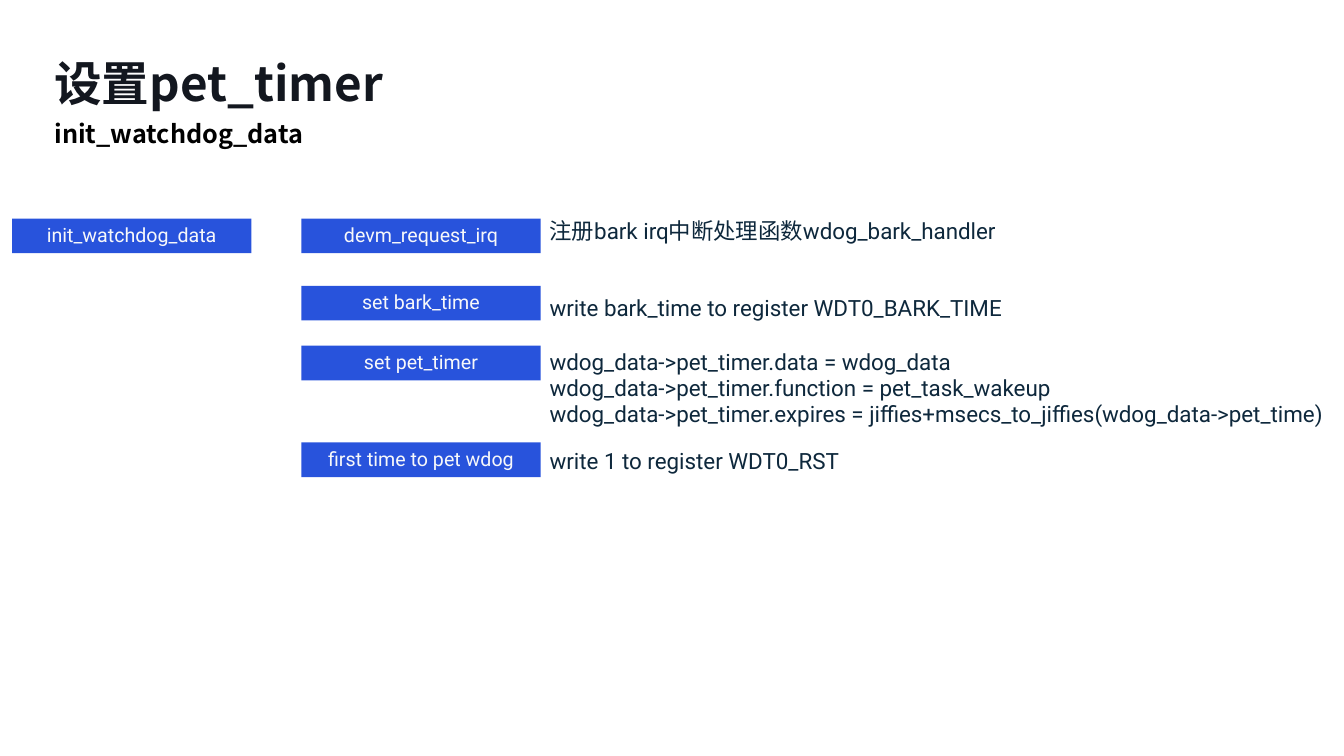
import pptx
import pptx.dml.color
import pptx.enum.shapes
import pptx.enum.text
import pptx.oxml.ns
import pptx.util
import lxml.etree

ANCHOR = pptx.enum.text.MSO_ANCHOR
ALIGN = pptx.enum.text.PP_ALIGN
CJK = "Noto Sans CJK JP"


def rgb(value):
    return pptx.dml.color.RGBColor.from_string(value)


class Deck:
    styles = {
        "title": {"size": 34, "bold": True, "name": CJK, "color": "13171F"},
        "subtitle": {"size": 18, "bold": True, "name": CJK, "color": "000000"},
        "step": {"size": 14, "name": "Roboto", "color": "F7F8FA"},
        "note": {"size": 16, "name": "Roboto", "color": "0E283C"},
    }
    fill = "2853DC"

    def __init__(self, width, height, columns=100, rows=100):
        self.prs = pptx.Presentation()
        self.prs.slide_width = pptx.util.Inches(width)
        self.prs.slide_height = pptx.util.Inches(height)
        self.col = self.prs.slide_width / columns
        self.row = self.prs.slide_height / rows
        self.s = self.prs.slides.add_slide(self.prs.slide_layouts[6])

    def area(self, x, y, w, h):
        return [round(v) for v in (x * self.col, y * self.row, w * self.col, h * self.row)]

    def add_lines(self, tf, lines, style, **paragraph):
        for i, line in enumerate(lines):
            p = tf.paragraphs[0] if i == 0 else tf.add_paragraph()
            for key, value in paragraph.items():
                setattr(p, key, value)
            r = p.add_run()
            r.text = line
            for key, value in self.styles[style].items():
                if key == "color":
                    r.font.color.rgb = rgb(value)
                else:
                    setattr(r.font, key, pptx.util.Pt(value) if key == "size" else value)
            ea = lxml.etree.SubElement(r.font._element, pptx.oxml.ns.qn("a:ea"))
            ea.set("typeface", CJK)

    def text(self, area, lines, style, wrap=True, anchor=ANCHOR.TOP, **paragraph):
        tf = self.s.shapes.add_textbox(*self.area(*area)).text_frame
        frame = {"word_wrap": wrap, "vertical_anchor": anchor, "margin_left": 0,
                 "margin_right": 0, "margin_top": 0, "margin_bottom": 0}
        for key, value in frame.items():
            setattr(tf, key, value)
        self.add_lines(tf, lines, style, **{"line_spacing": 0.96, **paragraph})

    def step(self, area, label):
        sp = self.s.shapes.add_shape(pptx.enum.shapes.MSO_SHAPE.RECTANGLE, *self.area(*area))
        sp.shadow.inherit = False
        sp.fill.solid()
        sp.fill.fore_color.rgb = rgb(self.fill)
        sp.line.fill.background()
        sp.text_frame.vertical_anchor = ANCHOR.MIDDLE
        self.add_lines(sp.text_frame, [label], "step", alignment=ALIGN.CENTER, line_spacing=0.96)


def main():
    deck = Deck(13.33, 7.5)
    deck.text((4.05, 8.27, 91.75, 6.4), ["设置pet_timer"], "title",
              anchor=ANCHOR.BOTTOM, line_spacing=0.84)
    deck.text((4.05, 15.87, 91.75, 3.87), ["init_watchdog_data"], "subtitle",
              space_before=pptx.util.Pt(9))

    step_w, step_h, line_h = 17.8, 4.57, 3.47
    caller_x, step_x, note_x, first_y = 0.9, 22.43, 40.89, 28.93
    steps = [
        ("devm_request_irq", first_y, 28.93, 33.5, True,
         ["注册bark irq中断处理函数wdog_bark_handler"]),
        ("set bark_time", 37.8, 39.07, 35, False,
         ["write bark_time to register WDT0_BARK_TIME"]),
        ("set pet_timer", 45.73, 46.27, 58.3, False,
         ["wdog_data->pet_timer.data = wdog_data",
          "wdog_data->pet_timer.function = pet_task_wakeup",
          "wdog_data->pet_timer.expires = jiffies+msecs_to_jiffies(wdog_data->pet_time)"]),
        ("first time to pet wdog", 58.53, 59.33, 22.4, False,
         ["write 1 to register WDT0_RST"]),
    ]
    deck.step((caller_x, first_y, step_w, step_h), "init_watchdog_data")
    for label, step_y, note_y, note_w, wrap, lines in steps:
        deck.step((step_x, step_y, step_w, step_h), label)
        deck.text((note_x, note_y, note_w, line_h * len(lines)), lines, "note", wrap=wrap)

    deck.prs.save("out.pptx")


if __name__ == "__main__":
    main()
